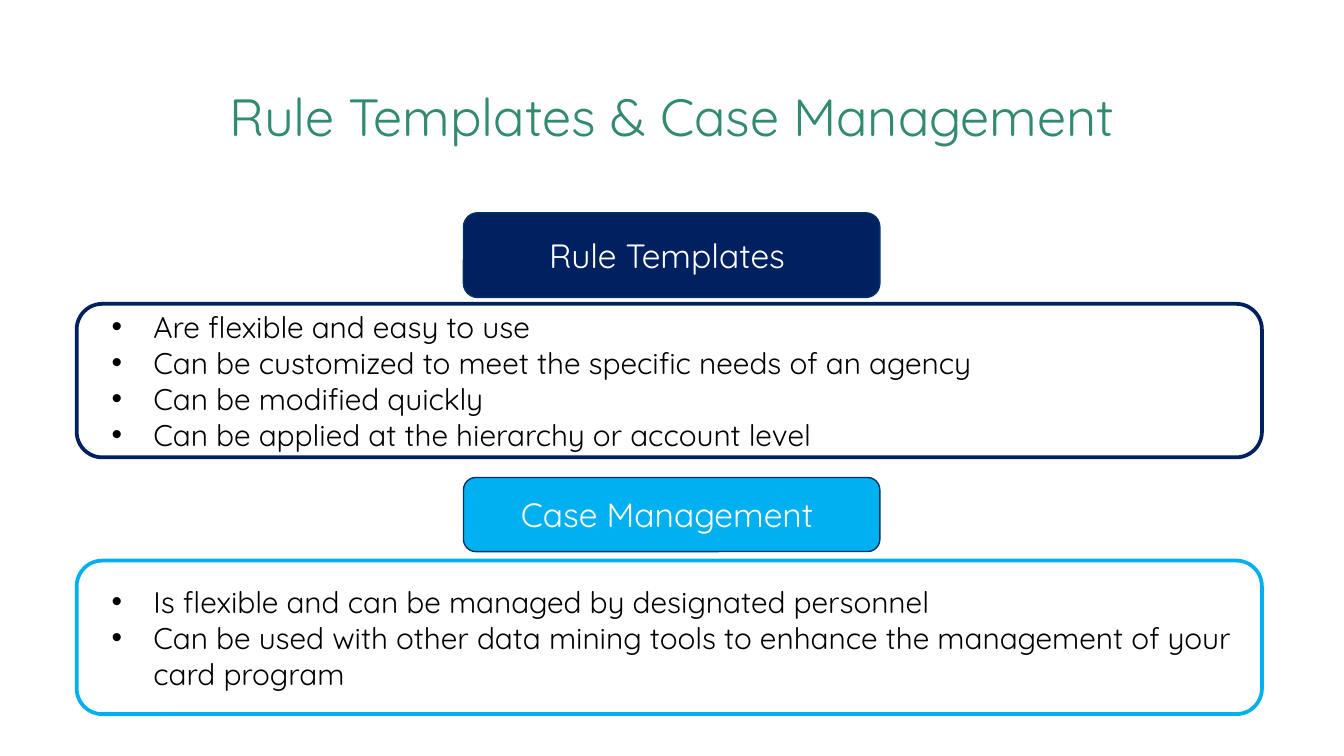
"""Build a slide with two headed, bulleted panels on rule templates and case management."""
import pptx
import pptx.util
import pptx.dml.color
import pptx.enum.shapes
import pptx.enum.text
import pptx.oxml
import pptx.oxml.ns
from pptx.util import Cm

FONT = "Quicksand"
TITLE = "Rule Templates & Case Management"
SECTIONS = [
    {
        "heading": "Rule Templates ",
        "color": "002060",
        "heading_top": 4.02,
        "heading_height": 1.6,
        "panel_top": 5.74,
        "bullets": [
            "Are flexible and easy to use",
            "Can be customized to meet the specific needs of an agency",
            "Can be modified quickly",
            "Can be applied at the hierarchy or account level",
        ],
    },
    {
        "heading": "Case Management ",
        "color": "00B0F0",
        "heading_top": 9.02,
        "heading_height": 1.4,
        "panel_top": 10.59,
        "bullets": [
            "Is flexible and can be managed by designated personnel",
            "Can be used with other data mining tools to enhance the "
            "management of your card program",
        ],
    },
]
SLIDE_WIDTH, SLIDE_HEIGHT = 25.4, 14.28
HEADING_LEFT, HEADING_WIDTH = 8.76, 7.87
PANEL_LEFT, PANEL_WIDTH, PANEL_HEIGHT = 1.45, 22.4, 2.9
BULLET_MARGIN, BULLET_HANG = 1.31, 0.79


def rgb(color):
    return pptx.dml.color.RGBColor.from_string(color)


def prepare_frame(shape):
    frame = shape.text_frame
    frame.word_wrap = True
    frame.vertical_anchor = pptx.enum.text.MSO_ANCHOR.MIDDLE
    frame.margin_left = frame.margin_right = 0
    frame.margin_top = frame.margin_bottom = 0
    return frame


def add_run(paragraph, text, size, color):
    run = paragraph.add_run()
    run.text = text
    run.font.name = FONT
    run.font.size = pptx.util.Pt(size)
    run.font.color.rgb = rgb(color)


def add_centered(shape, text, size, color):
    paragraph = prepare_frame(shape).paragraphs[0]
    paragraph.alignment = pptx.enum.text.PP_ALIGN.CENTER
    add_run(paragraph, text, size, color)


def add_rounded(slide, box, fill, line, width):
    shape = slide.shapes.add_shape(
        pptx.enum.shapes.MSO_SHAPE.ROUNDED_RECTANGLE, *map(Cm, box))
    shape.shadow.inherit = False
    if fill:
        shape.fill.solid()
        shape.fill.fore_color.rgb = rgb(fill)
    else:
        shape.fill.background()
    shape.line.color.rgb = rgb(line)
    shape.line.width = pptx.util.Pt(width)
    return shape


def add_bullets(shape, bullets):
    frame = prepare_frame(shape)
    for index, text in enumerate(bullets):
        paragraph = frame.add_paragraph() if index else frame.paragraphs[0]
        paragraph.alignment = pptx.enum.text.PP_ALIGN.LEFT
        paragraph.line_spacing = pptx.util.Pt(19.3)
        properties = paragraph._p.get_or_add_pPr()
        properties.set("marL", str(Cm(BULLET_MARGIN)))
        properties.set("indent", str(-Cm(BULLET_HANG)))
        namespace = pptx.oxml.ns.nsdecls("a")
        for element in (
            f'<a:buClr {namespace}><a:srgbClr val="000000"/></a:buClr>',
            f'<a:buFont {namespace} typeface="Arial"/>',
            f'<a:buChar {namespace} char="•"/>',
        ):
            properties.append(pptx.oxml.parse_xml(element))
        add_run(paragraph, text, 16, "000000")


def main():
    presentation = pptx.Presentation()
    presentation.slide_width = Cm(SLIDE_WIDTH)
    presentation.slide_height = Cm(SLIDE_HEIGHT)
    slide = presentation.slides.add_slide(presentation.slide_layouts[6])

    title = slide.shapes.add_textbox(Cm(1.9), Cm(1.3), Cm(21.6), Cm(1.78))
    add_centered(title, TITLE, 28, "328B71")

    for section in SECTIONS:
        heading = add_rounded(
            slide,
            (HEADING_LEFT, section["heading_top"], HEADING_WIDTH, section["heading_height"]),
            section["color"], "003366", 0.75)
        add_centered(heading, section["heading"], 18, "FFFFFF")
        panel = add_rounded(
            slide, (PANEL_LEFT, section["panel_top"], PANEL_WIDTH, PANEL_HEIGHT),
            None, section["color"], 2)
        add_bullets(panel, section["bullets"])

    presentation.save("out.pptx")


if __name__ == "__main__":
    main()
